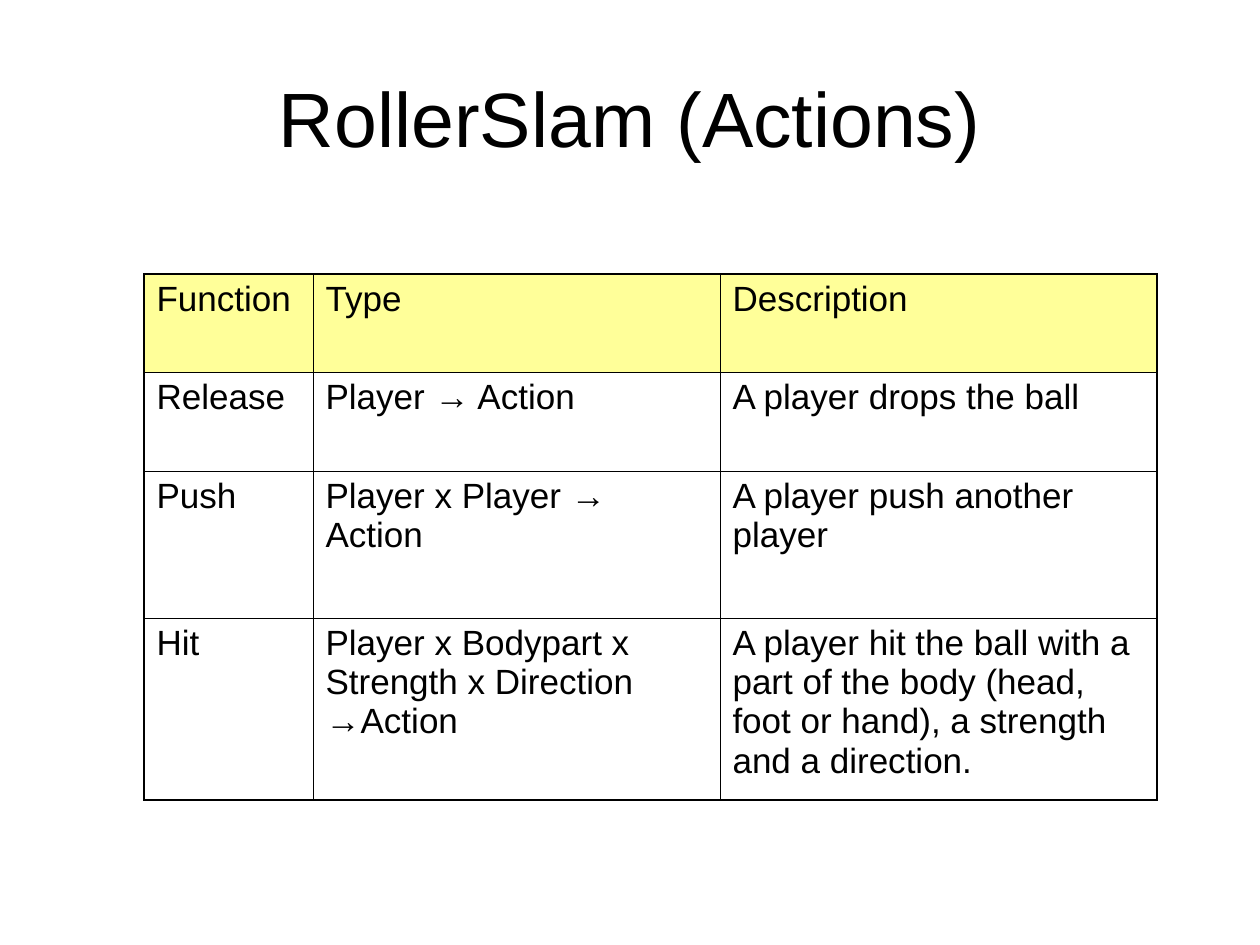
"""Build the RollerSlam actions slide: a title above a bordered table."""
from typing import NamedTuple

from lxml.etree import SubElement
from pptx import Presentation
from pptx.dml.color import RGBColor as RGB
from pptx.enum.text import MSO_ANCHOR as ANCHOR, PP_ALIGN as ALIGN
from pptx.oxml.ns import qn
from pptx.util import Emu, Pt

SCALE = 914400 / 126
FONT = "Arial"
COLORS = {"ink": "000000", "header": "FFFF99"}
THIN, THICK = 0.45, 1.08
COLS = (169, 407, 437)


class Row(NamedTuple):
    height: int
    texts: tuple[str, str, str]


ROWS = (
    Row(98, ("Function", "Type", "Description")),
    Row(99, ("Release", "Player → Action", "A player drops the ball")),
    Row(147, ("Push", "Player x Player → Action", "A player push another player")),
    Row(182, ("Hit", "Player x Bodypart x Strength x Direction →Action",
              "A player hit the ball with a part of the body "
              "(head, foot or hand), a strength and a direction.")),
)


def px(n: int) -> Emu:
    return Emu(round(n * SCALE))


def write(tf, text: str, size: int, align: ALIGN) -> None:
    p = tf.paragraphs[0]
    p.text, p.alignment = text, align
    p.font.name, p.font.size = FONT, Pt(size)
    p.font.color.rgb = RGB.from_string(COLORS["ink"])


def add_border(cell, side: str, width: float) -> None:
    ln = SubElement(cell._tc.get_or_add_tcPr(), qn(f"a:ln{side}"), w=str(Pt(width)))
    fill = SubElement(ln, qn("a:solidFill"))
    SubElement(fill, qn("a:srgbClr"), val=COLORS["ink"])


def draw_title(slide, text: str) -> None:
    s = slide.shapes.add_textbox(px(63), px(38), px(1134), px(157))
    s.text_frame.word_wrap = True
    s.text_frame.vertical_anchor = ANCHOR.MIDDLE
    write(s.text_frame, text, 44, ALIGN.CENTER)


def draw_cell(cell, text: str, i: int, j: int) -> None:
    cell.margin_left = cell.margin_right = Pt(7.2)
    cell.margin_top = cell.margin_bottom = Pt(3.6)
    write(cell.text_frame, text, 20, ALIGN.LEFT)
    edges = {"L": j == 0, "R": j == len(COLS) - 1, "T": i == 0, "B": i == len(ROWS) - 1}
    for side, outer in edges.items():
        add_border(cell, side, THICK if outer else THIN)
    if i == 0:
        cell.fill.solid()
        cell.fill.fore_color.rgb = RGB.from_string(COLORS["header"])
    else:
        cell.fill.background()


def draw_table(slide, left: int, top: int) -> None:
    height = sum(row.height for row in ROWS)
    table = slide.shapes.add_table(len(ROWS), len(COLS), px(left), px(top),
                                   px(sum(COLS)), px(height)).table
    table.first_row = table.horz_banding = False
    for j, width in enumerate(COLS):
        table.columns[j].width = px(width)
    for i, row in enumerate(ROWS):
        table.rows[i].height = px(row.height)
        for j, text in enumerate(row.texts):
            draw_cell(table.cell(i, j), text, i, j)


def main() -> None:
    prs = Presentation()
    prs.slide_width, prs.slide_height = px(1260), px(945)
    slide = prs.slides.add_slide(prs.slide_layouts[6])
    draw_title(slide, "RollerSlam (Actions)")
    draw_table(slide, 144, 274)
    prs.save("out.pptx")


if __name__ == "__main__":
    main()
